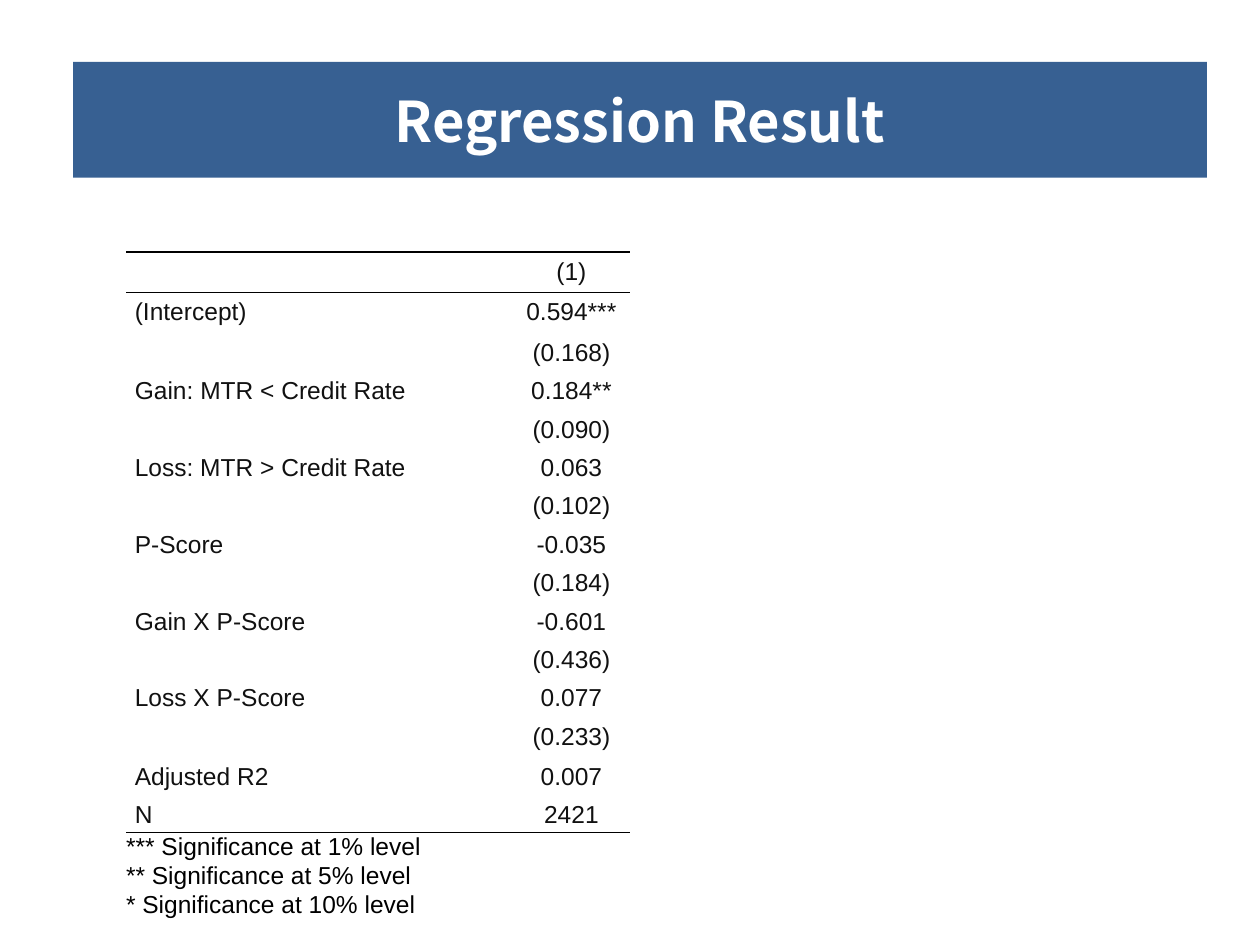
from lxml import etree
from pptx import Presentation
from pptx.dml.color import RGBColor
from pptx.enum.shapes import MSO_SHAPE
from pptx.enum.text import MSO_ANCHOR, PP_ALIGN
from pptx.oxml.ns import qn
from pptx.util import Inches, Pt

RECT = MSO_SHAPE.RECTANGLE
MIDDLE = MSO_ANCHOR.MIDDLE
LEFT, CENTER = PP_ALIGN.LEFT, PP_ALIGN.CENTER

THEME = {
    "banner": "376092", "title": "FFFFFF", "body": "111111", "black": "000000",
    "title_font": "Noto Sans CJK JP", "body_font": "Arial",
    "title_size": 32, "body_size": 14,
    "plain_table": "{2D5ABB26-0587-4C30-8999-92F81FD0307C}",
}


def write(tf, text, font=THEME["body_font"], size=THEME["body_size"],
          color=THEME["body"], bold=False, align=LEFT, indent=0, space=0):
    p = tf.paragraphs[0]
    p.alignment = align
    p.space_before = p.space_after = Pt(space)
    p._p.get_or_add_pPr().set("marL", str(Inches(indent)))
    r = p.add_run()
    r.text = text
    r.font.name, r.font.size, r.font.bold = font, Pt(size), bold
    r.font.color.rgb = RGBColor.from_string(color)
    if font == THEME["title_font"]:
        etree.SubElement(r._r.rPr, qn("a:ea")).set("typeface", font)


def rule(cell, *sides):
    """Draw a 1 pt black border on the given sides (lnT before lnB)."""
    tcPr = cell._tc.get_or_add_tcPr()
    for i, side in enumerate(sides):
        ln = etree.Element(qn("a:" + side), w=str(Pt(1)))
        fill = etree.SubElement(ln, qn("a:solidFill"))
        etree.SubElement(fill, qn("a:srgbClr")).set("val", THEME["black"])
        tcPr.insert(i, ln)


prs = Presentation()
prs.slide_width, prs.slide_height = Inches(10), Inches(7.5)
s = prs.slides.add_slide(prs.slide_layouts[6])

# Title banner
banner = s.shapes.add_shape(RECT, Inches(0.58), Inches(0.49), Inches(9), Inches(0.92))
banner.shadow.inherit = False
banner.fill.solid()
banner.fill.fore_color.rgb = RGBColor.from_string(THEME["banner"])
banner.line.fill.background()
banner.text_frame.vertical_anchor = MIDDLE
write(banner.text_frame, "Regression Result", font=THEME["title_font"],
      size=THEME["title_size"], color=THEME["title"], bold=True, align=CENTER)

# Table content: each estimate is followed by its standard error
estimates = [
    ("(Intercept)", "0.594***", "(0.168)"),
    ("Gain: MTR < Credit Rate", "0.184**", "(0.090)"),
    ("Loss: MTR > Credit Rate", "0.063", "(0.102)"),
    ("P-Score", "-0.035", "(0.184)"),
    ("Gain X P-Score", "-0.601", "(0.436)"),
    ("Loss X P-Score", "0.077", "(0.233)"),
]
rows = [("", "(1)")]
for label, estimate, error in estimates:
    rows += [(label, estimate), ("", error)]
rows += [("Adjusted R2", "0.007"), ("N", "2421")]
notes = ["*** Significance at 1% level", "** Significance at 5% level",
         "* Significance at 10% level"]

# Row heights: header and intercept, estimate/error pairs, fit, notes
heights = ([0.32] * 3 + [0.29, 0.32] * (len(estimates) - 1)
           + [0.32, 0.28] + [0.23] * len(notes))
widths = [3, 1]
table = s.shapes.add_table(len(heights), len(widths), Inches(1), Inches(2),
                           Inches(sum(widths)), Inches(sum(heights))).table
table.first_row = table.horz_banding = False
table._tbl.tblPr[0].text = THEME["plain_table"]
for column, width in zip(table.columns, widths):
    column.width = Inches(width)
for row, height in zip(table.rows, heights):
    row.height = Inches(height)
for cell in table.iter_cells():
    cell.margin_left = cell.margin_right = cell.margin_top = cell.margin_bottom = 0
    cell.vertical_anchor = MIDDLE
    cell.fill.background()

# Coefficients
for i, values in enumerate(rows):
    for j, (text, align) in enumerate(zip(values, (LEFT, CENTER))):
        if text:
            write(table.cell(i, j).text_frame, text, align=align, indent=0.07, space=2)

# Significance notes across both columns
for i, note in enumerate(notes, start=len(rows)):
    table.cell(i, 0).merge(table.cell(i, 1))
    write(table.cell(i, 0).text_frame, note, color=THEME["black"])

# Rules around the header and under the last figure
for j in range(len(widths)):
    rule(table.cell(0, j), "lnT", "lnB")
    rule(table.cell(len(rows) - 1, j), "lnB")

prs.save("out.pptx")
